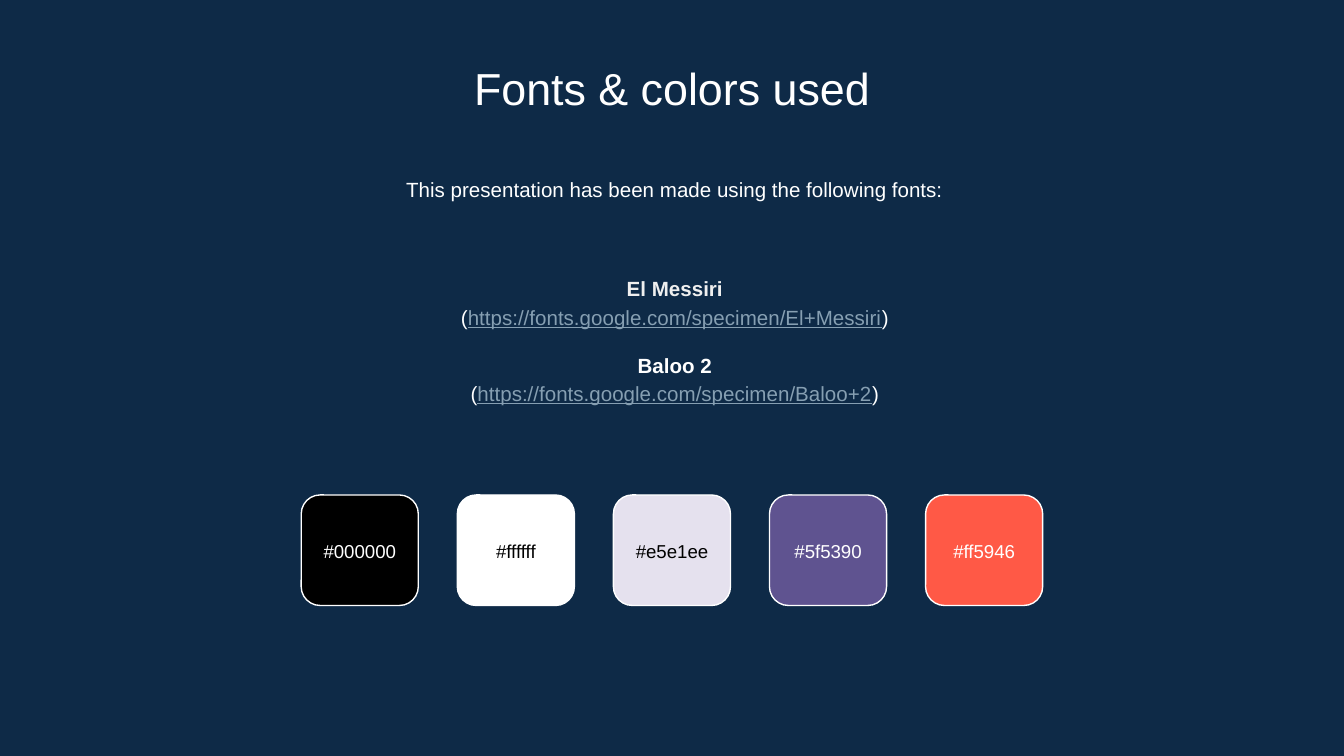
from pptx import Presentation
from pptx.dml.color import RGBColor
from pptx.enum.shapes import MSO_SHAPE as Shape
from pptx.enum.text import MSO_ANCHOR as Anchor, PP_ALIGN as Align
from pptx.util import Pt

NAVY = RGBColor(0x0E, 0x2A, 0x47)
WHITE = RGBColor(0xFF, 0xFF, 0xFF)
BLACK = RGBColor(0x00, 0x00, 0x00)
LAVENDER = RGBColor(0xE5, 0xE1, 0xEE)
PURPLE = RGBColor(0x5F, 0x53, 0x90)
CORAL = RGBColor(0xFF, 0x59, 0x46)
LINK = RGBColor(0x86, 0x9F, 0xB2)
LIGHT_GRAY = RGBColor(0xEF, 0xEF, 0xEF)

FONT = "Arial"
FONTS = [
    ("El Messiri", LIGHT_GRAY, "https://fonts.google.com/specimen/El+Messiri"),
    ("Baloo 2", WHITE, "https://fonts.google.com/specimen/Baloo+2"),
]
SWATCHES = [
    (BLACK, WHITE),
    (WHITE, BLACK),
    (LAVENDER, BLACK),
    (PURPLE, WHITE),
    (CORAL, WHITE),
]


def add_frame(page, left, top, width, height, anchor=Anchor.TOP):
    box = page.shapes.add_textbox(Pt(left), Pt(top), Pt(width), Pt(height))
    frame = box.text_frame
    frame.word_wrap = True
    frame.vertical_anchor = anchor
    frame.margin_left = frame.margin_right = Pt(7.2)
    frame.margin_top = frame.margin_bottom = Pt(7.2)
    return frame


def style(para, size, color=WHITE, bold=False, spacing=None):
    para.alignment = Align.CENTER
    para.line_spacing = spacing
    para.font.name = FONT
    para.font.size = Pt(size)
    para.font.bold = bold
    para.font.color.rgb = color


def add_line(page, left, top, width, height, text, size, color=WHITE,
             spacing=None, anchor=Anchor.TOP):
    para = add_frame(page, left, top, width, height, anchor).paragraphs[0]
    para.text = text
    style(para, size, color, spacing=spacing)


def add_font_list(page, left, top, width, height):
    frame = add_frame(page, left, top, width, height, Anchor.MIDDLE)
    for index, (name, color, address) in enumerate(FONTS):
        heading = frame.add_paragraph() if index else frame.paragraphs[0]
        heading.text = name
        style(heading, 11, color, bold=True, spacing=1.15)
        if index:
            heading.space_before = Pt(10.6)

        para = frame.add_paragraph()
        style(para, 11, spacing=1.15)
        for text, span_color in (("(", WHITE), (address, LINK), (")", WHITE)):
            span = para.add_run()
            span.text = text
            span.font.color.rgb = span_color
            span.font.underline = span_color == LINK


def add_swatches(page, left, top, width, height):
    side = 62.7
    label_height = 34.5
    step = (width - side) / (len(SWATCHES) - 1)
    for index, (fill, ink) in enumerate(SWATCHES):
        x = left + index * step
        tile = page.shapes.add_shape(
            Shape.ROUNDED_RECTANGLE, Pt(x), Pt(top), Pt(side), Pt(height))
        tile.shadow.inherit = False
        tile.adjustments[0] = 0.17
        tile.fill.solid()
        tile.fill.fore_color.rgb = fill
        tile.line.color.rgb = WHITE
        tile.line.width = Pt(0.75)
        add_line(page, x, top + (height - label_height) / 2 + 0.5, side,
                 label_height, f"#{fill}".lower(), 10, ink,
                 anchor=Anchor.MIDDLE)


def main():
    deck = Presentation()
    deck.slide_width, deck.slide_height = Pt(720), Pt(405)
    page = deck.slides.add_slide(deck.slide_layouts[6])
    page.background.fill.solid()
    page.background.fill.fore_color.rgb = NAVY

    add_line(page, 82.5, 25.2, 555, 38.2, "Fonts & colors used", 24)
    add_line(page, 84, 85.7, 555, 34.5,
             "This presentation has been made using the following fonts:",
             11, spacing=1.15)
    add_font_list(page, 84, 132.5, 555, 98.6)
    add_swatches(page, 161.4, 265.2, 397.2, 59.2)
    deck.save("out.pptx")


if __name__ == "__main__":
    main()
